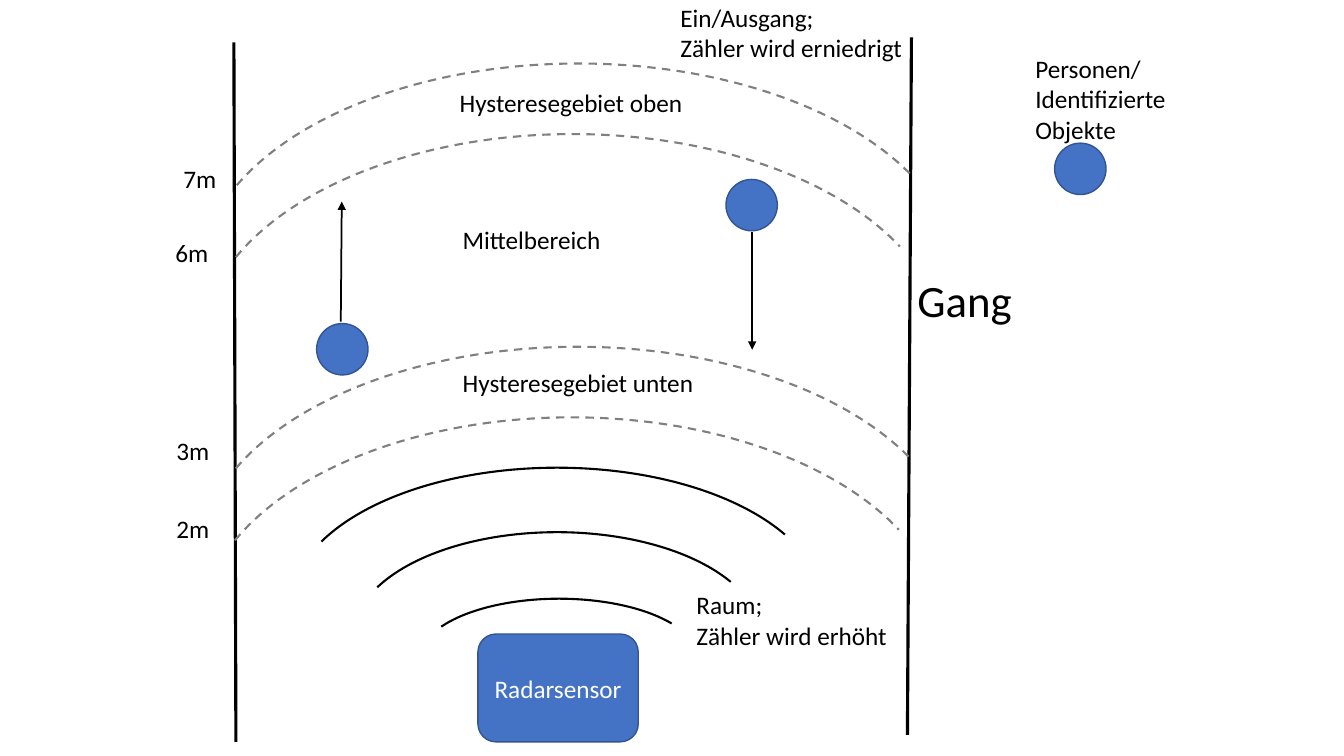
from lxml import etree
from pptx import Presentation, dml, util as u
from pptx.dml.color import RGBColor
from pptx.enum import dml as edml, shapes, text
from pptx.oxml.ns import qn

WIDE, HIGH = 13.33, 7.5
BLUE, EDGE, BLACK, GREY, WHITE = "4472C4", "325491", "000000", "808080", "FFFFFF"
FONT = "Calibri"
SWEEP = (117.277, 205.439)  # start and end angle shared by all arcs
DOT = 0.51

# text, left, top, width, height, size
LABELS = [
    ("Gang", 9, 2.66, 1.98, 0.64, 32),
    ("Personen/\nIdentifizierte Objekte", 10.17, 0.48, 1.91, 1.01, 18),
    ("Raum;\nZähler wird erhöht", 6.81, 5.8, 2.6, 0.71, 18),
    ("Ein/Ausgang; \nZähler wird erniedrigt", 6.65, -0.03, 2.6, 0.71, 18),
    ("Hysteresegebiet oben", 4.46, 0.82, 2.51, 0.4, 18),
    ("Hysteresegebiet unten", 4.49, 3.59, 2.51, 0.4, 18),
    ("Mittelbereich", 4.49, 2.18, 2.51, 0.4, 18),
]
MARKS = [("2m", 1.65, 5.04), ("3m", 1.65, 4.27), ("6m", 1.64, 2.31), ("7m", 1.72, 1.57)]
LABELS += [(*mark, 1.38, 0.4, 18) for mark in MARKS]

SENSOR = ("Radarsensor", 4.74, 6.29, 1.59, 1.07)
WAVES = [(4.16, 5.94, 2.77, 1.2), (3.5, 5.28, 4.05, 2.08), (2.88, 4.64, 5.29, 2.76)]
ZONES = [(1.96, 3.44), (1.97, 0.63)]  # left and top of each hysteresis zone
ZONE_STEP, ZONE_HIGH, ZONE_WIDE = 0.7, 4.29, (7.54, 7.4)
PEOPLE = [(10.46, 1.42), (3.14, 3.21), (7.2, 1.78)]
WALLS = [(9.04, 0.37, 9, 7.29), (2.32, 0.42, 2.34, 7.36)]
MOVES = [(7.46, 2.3, 7.46, 3.47), (3.38, 3.19, 3.39, 2)]


def put(obj, **vals):
    """Set each given attribute on an object."""
    for key, val in vals.items():
        setattr(obj, key, val)


def hue(fmt, code):
    """Give a fill or font its colour from a hex string."""
    if isinstance(fmt, dml.fill.FillFormat):
        fmt.solid()
        fmt = fmt.fore_color
    else:
        fmt = fmt.color
    fmt.rgb = RGBColor.from_string(code)


def inch(*nums):
    """Turn numbers into inch lengths."""
    return [u.Inches(num) for num in nums]


def stroke(line, code, width, dash=None):
    """Style an outline."""
    hue(line.fill, code)
    put(line, width=u.Pt(width), dash_style=dash)


def shape(kind, box, fill=None, line=(EDGE, 1)):
    """Add a flat preset shape."""
    item = slide.shapes.add_shape(kind, *inch(*box))
    item.shadow.inherit = False
    if fill:
        hue(item.fill, fill)
    else:
        item.fill.background()
    stroke(item.line, *line)
    return item


def arc(box, *line):
    """Add an open arc over the shared sweep."""
    item = shape(shapes.MSO_SHAPE.ARC, box, line=line)
    for num, turn in enumerate(SWEEP):
        item.adjustments[num] = turn


def write(frame, words, size, code, side):
    """Fill a text frame with one paragraph."""
    para = frame.paragraphs[0]
    put(para, text=words, alignment=side)
    for run in para.runs:
        put(run.font, name=FONT, size=u.Pt(size))
        hue(run.font, code)


def label(words, left, top, wide, high, size):
    """Add a wrapped text box that grows with its text."""
    frame = slide.shapes.add_textbox(*inch(left, top, wide, high)).text_frame
    put(frame, word_wrap=True, auto_size=text.MSO_AUTO_SIZE.SHAPE_TO_FIT_TEXT)
    write(frame, words, size, BLACK, text.PP_ALIGN.LEFT)


def link(ends, width, tip=False):
    """Add a straight line, with an arrowhead if asked."""
    item = slide.shapes.add_connector(shapes.MSO_CONNECTOR.STRAIGHT, *inch(*ends))
    stroke(item.line, BLACK, width)
    props = item.line.fill._xPr
    if tip:
        etree.SubElement(props, qn("a:tailEnd"), type="triangle")
    etree.SubElement(props.getparent(), qn("a:effectLst"))


deck = Presentation()
put(deck, slide_width=u.Inches(WIDE), slide_height=u.Inches(HIGH))
slide = deck.slides.add_slide(deck.slide_layouts[6])

name, *box = SENSOR
sensor = shape(shapes.MSO_SHAPE.ROUNDED_RECTANGLE, box, BLUE)
put(sensor.text_frame, word_wrap=True, vertical_anchor=text.MSO_ANCHOR.MIDDLE)
write(sensor.text_frame, name, 18, WHITE, text.PP_ALIGN.CENTER)

for box in WAVES:
    arc(box, BLACK, 1.5)
for ends in WALLS:
    link(ends, 2.25)
for spot in PEOPLE:
    shape(shapes.MSO_SHAPE.OVAL, (*spot, DOT, DOT), BLUE)
for ends in MOVES:
    link(ends, 1.25, tip=True)
for left, top in ZONES:
    for row, wide in enumerate(ZONE_WIDE):
        box = (left + row * 0.01, top + row * ZONE_STEP, wide, ZONE_HIGH)
        arc(box, GREY, 1.5, edml.MSO_LINE.DASH)
for item in LABELS:
    label(*item)

deck.save("out.pptx")
